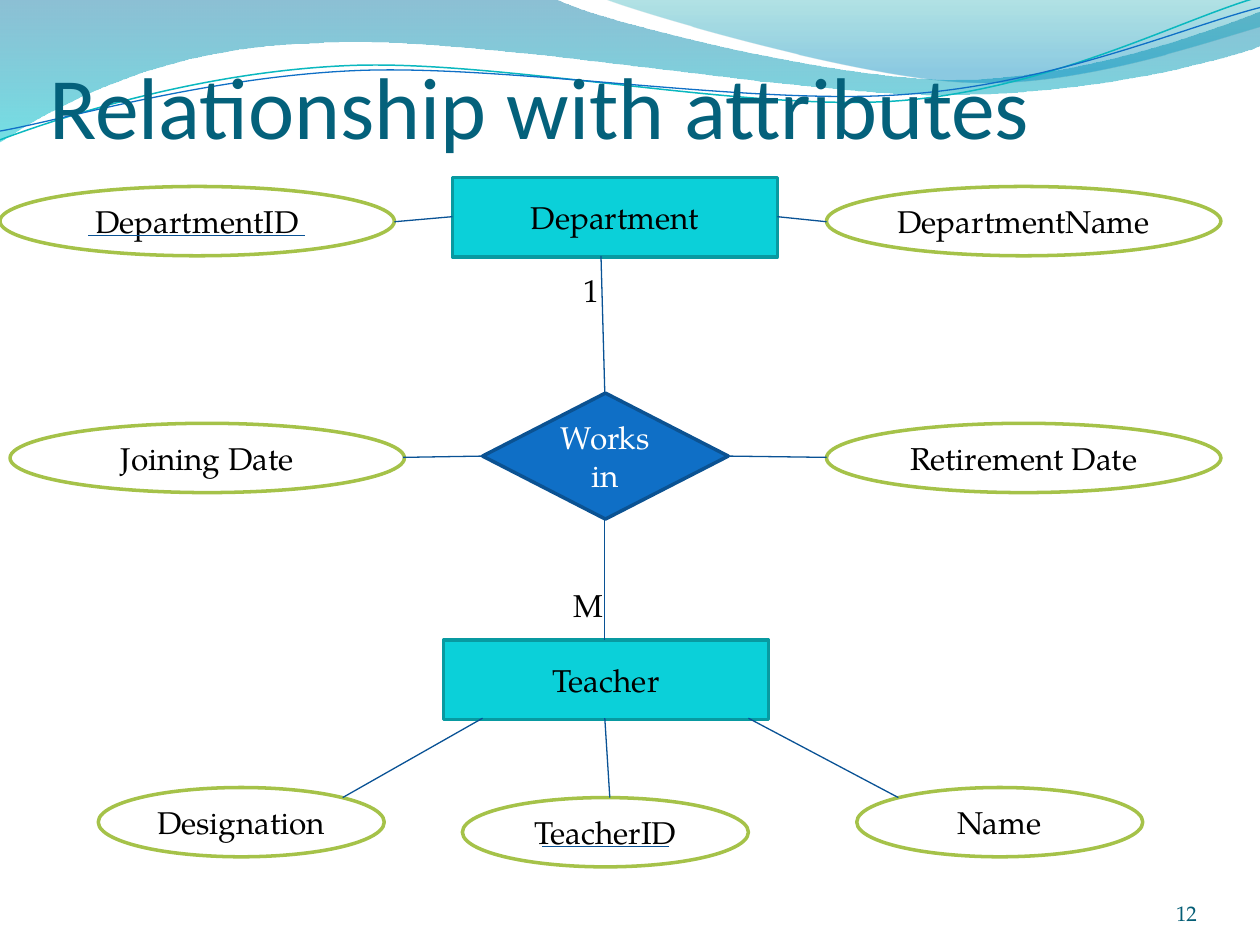
"""Build the slide on an entity relationship with attributes."""
from itertools import islice
from math import cos, radians, sin
from typing import NamedTuple

from lxml import etree
from pptx import Presentation
from pptx.dml.color import RGBColor
from pptx.enum.shapes import MSO_CONNECTOR, MSO_SHAPE
from pptx.enum.text import MSO_ANCHOR, PP_ALIGN
from pptx.oxml.ns import qn
from pptx.util import Inches, Pt

RECTANGLE, ELLIPSE, DIAMOND = MSO_SHAPE.RECTANGLE, MSO_SHAPE.OVAL, MSO_SHAPE.DIAMOND
STRAIGHT = MSO_CONNECTOR.STRAIGHT
TOP, MIDDLE, BOTTOM = MSO_ANCHOR.TOP, MSO_ANCHOR.MIDDLE, MSO_ANCHOR.BOTTOM
LEFT, CENTER, RIGHT = PP_ALIGN.LEFT, PP_ALIGN.CENTER, PP_ALIGN.RIGHT

BLACK = RGBColor(0x00, 0x00, 0x00)
WHITE = RGBColor(0xFF, 0xFF, 0xFF)
AQUA = RGBColor(0x0B, 0xD0, 0xD9)
DARK_AQUA = RGBColor(0x08, 0x9A, 0xA1)
BLUE = RGBColor(0x0F, 0x6F, 0xC6)
DARK_BLUE = RGBColor(0x0B, 0x52, 0x92)
GREEN = RGBColor(0xA5, 0xC2, 0x49)
LINK_BLUE = RGBColor(0x09, 0x52, 0x95)
TITLE_TEAL = RGBColor(0x04, 0x61, 0x7B)
NUMBER_TEAL = RGBColor(0x04, 0x5D, 0x75)
WAVE_BLUE = RGBColor(0x00, 0x74, 0xA1)
WAVE_CYAN = RGBColor(0x00, 0xC6, 0xCF)
CREST_TEAL = RGBColor(0x00, 0xA1, 0xA9)
CREST_BLUE = RGBColor(0x00, 0x8B, 0xBF)
STRAND_TEAL = RGBColor(0x0A, 0xB8, 0xBF)

BODY_FONT, TITLE_FONT = "TeX Gyre Pagella", "Calibri"
STRAND_TILT = 357.3
STRAND_CENTER = (4.99, 0.58)

Point = tuple[float, float]


class Style(NamedTuple):
    geometry: MSO_SHAPE
    fill: RGBColor
    outline: RGBColor
    text: RGBColor


class Node(NamedTuple):
    text: str
    style: Style
    left: float
    top: float
    width: float
    height: float


class Label(NamedTuple):
    text: str
    left: float
    top: float
    width: float
    height: float
    size: float = 18
    color: RGBColor = BLACK
    font: str = BODY_FONT
    align: PP_ALIGN = LEFT
    anchor: MSO_ANCHOR = TOP
    insets: tuple[float, float, float, float] = (0.1, 0.05, 0.1, 0.05)
    wrap: bool = True


class Stop(NamedTuple):
    position: float
    color: RGBColor
    opacity: int


class Wave(NamedTuple):
    start: Point
    segments: list[tuple[float, ...]]
    stops: tuple[Stop, ...] = ()
    color: RGBColor = BLUE
    weight: float = 0.75
    tilt: float = 0


ENTITY = Style(RECTANGLE, AQUA, DARK_AQUA, BLACK)
RELATIONSHIP = Style(DIAMOND, BLUE, DARK_BLUE, WHITE)
ATTRIBUTE = Style(ELLIPSE, WHITE, GREEN, BLACK)

ENTITY_SIZE = (2.58, 0.63)
WIDE, NARROW = (3.13, 0.55), (2.27, 0.55)

WAVES = [
    Wave((0, 0), [(4.4, -0.01), (4.76, 0.17, 6.64, 0.63, 7.58, 0.63),
                  (8.53, 0.63, 9.58, 0.26, 10, 0.09), (10.01, 0.36),
                  (9.83, 0.44, 8.7, 0.76, 7.46, 0.75), (6.22, 0.75, 3.82, 0.28, 2.57, 0.34),
                  (1.29, 0.36, 0.46, 0.83, -0.01, 1.13), (0, 0)],
         (Stop(0, WAVE_BLUE, 45), Stop(1, WAVE_CYAN, 55))),
    Wave((4.79, -0.01), [(5.09, 0.11, 6.82, 0.62, 7.69, 0.65),
                         (8.56, 0.69, 9.61, 0.32, 10, 0.21), (10, 0), (4.79, -0.01)],
         (Stop(0, CREST_TEAL, 30), Stop(0.8, CREST_BLUE, 45))),
    Wave((0, 1.11), [(0.48, 0.93, 1.58, 0.57, 2.77, 0.52), (3.95, 0.47, 5.93, 0.89, 7.13, 0.8),
                     (8.33, 0.71, 9.38, 0.15, 9.98, -0.02)],
         color=STRAND_TEAL, weight=0.85, tilt=STRAND_TILT),
    Wave((0, 1.04), [(0.47, 0.96, 1.64, 0.61, 2.83, 0.56), (4.03, 0.51, 5.97, 0.84, 7.17, 0.75),
                     (8.36, 0.67, 9.41, 0.21, 10, 0.06)], tilt=STRAND_TILT),
]
NODES = [
    Node("Department", ENTITY, 3.59, 1.41, *ENTITY_SIZE),
    Node("DepartmentID", ATTRIBUTE, 0, 1.48, *WIDE),
    Node("DepartmentName", ATTRIBUTE, 6.56, 1.48, *WIDE),
    Node("Works in", RELATIONSHIP, 3.83, 3.12, 1.95, 1),
    Node("Joining Date", ATTRIBUTE, 0.08, 3.36, *WIDE),
    Node("Retirement Date", ATTRIBUTE, 6.56, 3.36, *WIDE),
    Node("Teacher", ENTITY, 3.52, 5.08, *ENTITY_SIZE),
    Node("Designation", ATTRIBUTE, 0.78, 6.25, *NARROW),
    Node("TeacherID", ATTRIBUTE, 3.67, 6.33, *NARROW),
    Node("Name", ATTRIBUTE, 6.8, 6.25, *NARROW),
]
LINKS = [
    ((3.13, 1.76), (3.59, 1.72)), ((6.17, 1.72), (6.56, 1.76)),
    ((4.8, 3.12), (4.77, 2.03)), ((4.8, 5.08), (4.8, 4.13)),
    ((3.83, 3.62), (3.2, 3.63)), ((5.78, 3.62), (6.56, 3.63)),
    ((3.83, 5.7), (2.72, 6.33)), ((4.8, 5.7), (4.84, 6.33)), ((5.94, 5.7), (7.13, 6.33)),
]
KEY_UNDERLINES = [((0.7, 1.87), (2.42, 1.87)), ((5.31, 6.72), (4.3, 6.72))]
LABELS = [
    Label("Relationship with attributes", 0.39, 0.23, 9, 1.02, 50, TITLE_TEAL, TITLE_FONT,
          anchor=BOTTOM, insets=(0, 0.05, 0, 0)),
    Label("1", 4.53, 2.1, 0.28, 0.4, wrap=False),
    Label("M", 4.45, 4.6, 0.43, 0.4, wrap=False),
    Label("12", 8.67, 6.95, 0.83, 0.4, 12, NUMBER_TEAL, align=RIGHT, anchor=BOTTOM,
          insets=(0, 0, 0, 0)),
]


def write(frame, text: str, size: float, color: RGBColor, font: str, align: PP_ALIGN) -> None:
    frame.text = text
    paragraph = frame.paragraphs[0]
    paragraph.alignment = align
    paragraph.font.size = Pt(size)
    paragraph.font.name = font
    paragraph.font.color.rgb = color


def level(point: Point, tilt: float) -> Point:
    angle = radians(-tilt)
    dx, dy = point[0] - STRAND_CENTER[0], point[1] - STRAND_CENTER[1]
    return (Inches(STRAND_CENTER[0] + dx * cos(angle) - dy * sin(angle)),
            Inches(STRAND_CENTER[1] + dx * sin(angle) + dy * cos(angle)))


def draw_wave(shapes, wave: Wave) -> None:
    points = [pair for segment in wave.segments for pair in zip(segment[::2], segment[1::2])]
    builder = shapes.build_freeform(*level(wave.start, wave.tilt))
    builder.add_line_segments([level(p, wave.tilt) for p in points], close=bool(wave.stops))
    shape = builder.convert_to_shape()
    shape.rotation = wave.tilt
    shape.shadow.inherit = False
    steps = iter(list(shape._element.iter(qn("a:lnTo"))))
    for segment in wave.segments:
        curve, *controls = islice(steps, len(segment) // 2)
        if controls:
            curve.tag = qn("a:cubicBezTo")
        for control in controls:
            curve.append(control[0])
            control.getparent().remove(control)
    if not wave.stops:
        shape.fill.background()
        shape.line.color.rgb = wave.color
        shape.line.width = Pt(wave.weight)
        return
    shape.fill.gradient()
    shape.fill.gradient_angle = 270
    for gradient_stop, stop in zip(shape.fill.gradient_stops, wave.stops):
        gradient_stop.position = stop.position
        gradient_stop.color.rgb = stop.color
    for color, stop in zip(shape._element.spPr.iter(qn("a:srgbClr")), wave.stops):
        etree.SubElement(color, qn("a:alpha")).set("val", str(stop.opacity * 1000))
    shape.line.fill.background()


def draw_node(shapes, node: Node) -> None:
    box = [Inches(v) for v in (node.left, node.top, node.width, node.height)]
    shape = shapes.add_shape(node.style.geometry, *box)
    shape.shadow.inherit = False
    shape.fill.solid()
    shape.fill.fore_color.rgb = node.style.fill
    shape.line.color.rgb = node.style.outline
    shape.line.width = Pt(2)
    shape.text_frame.vertical_anchor = MIDDLE
    write(shape.text_frame, node.text, 18, node.style.text, BODY_FONT, CENTER)


def draw_line(shapes, start: Point, end: Point) -> None:
    line = shapes.add_connector(STRAIGHT, *[Inches(v) for v in (*start, *end)]) 
    line.line.color.rgb = LINK_BLUE
    line.line.width = Pt(0.75)
    etree.SubElement(line._element.spPr, qn("a:effectLst"))


def draw_label(shapes, label: Label) -> None:
    box = [Inches(v) for v in (label.left, label.top, label.width, label.height)]
    frame = shapes.add_textbox(*box).text_frame
    frame.word_wrap = label.wrap
    frame.vertical_anchor = label.anchor
    (frame.margin_left, frame.margin_top,
     frame.margin_right, frame.margin_bottom) = [Inches(v) for v in label.insets]
    write(frame, label.text, label.size, label.color, label.font, label.align)


presentation = Presentation()
presentation.slide_width, presentation.slide_height = Inches(10), Inches(7.5)
canvas = presentation.slides.add_slide(presentation.slide_layouts[6]).shapes
for wave in WAVES:
    draw_wave(canvas, wave)
for node in NODES:
    draw_node(canvas, node)
for start, end in LINKS + KEY_UNDERLINES:
    draw_line(canvas, start, end)
for label in LABELS:
    draw_label(canvas, label)
presentation.save("out.pptx")
